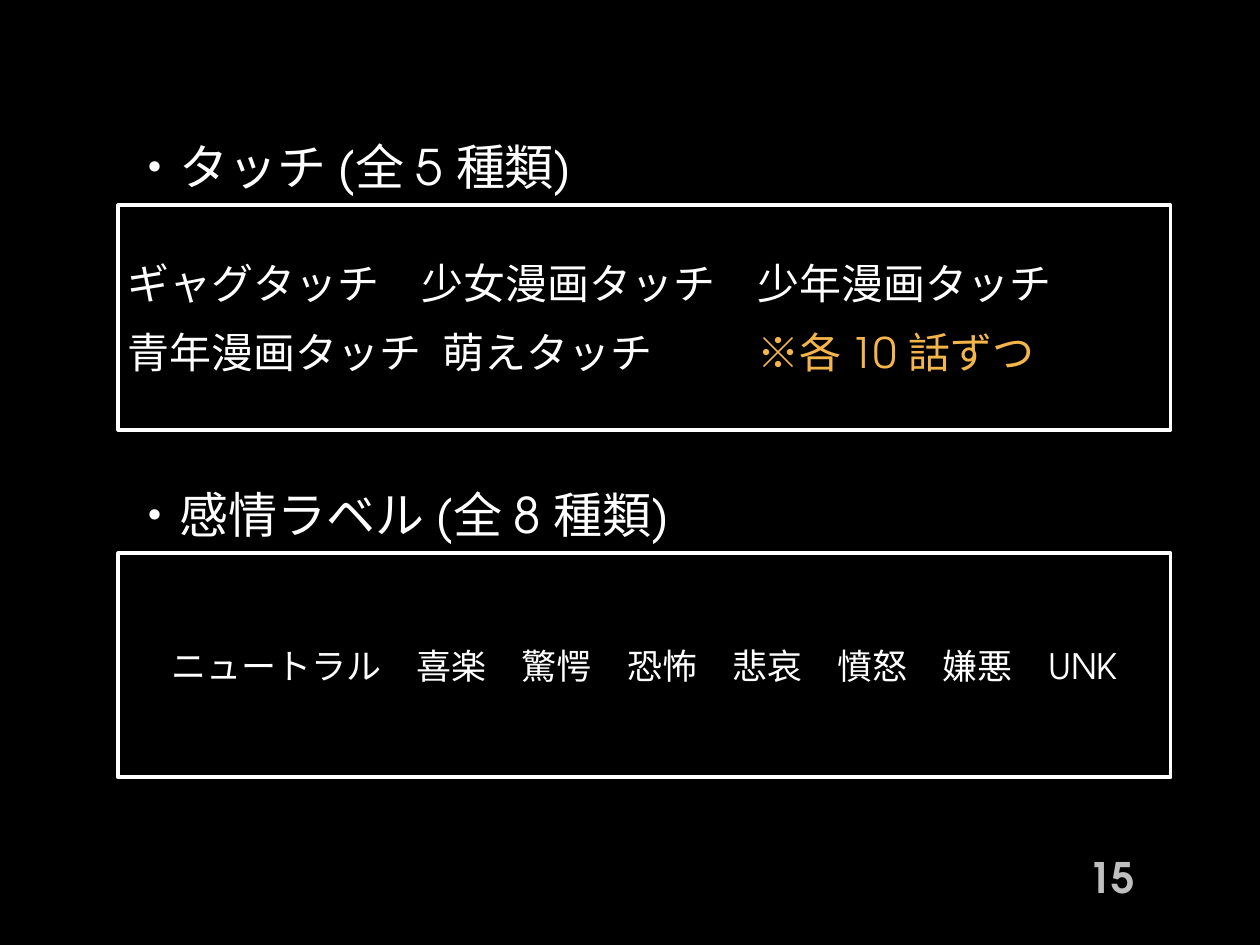
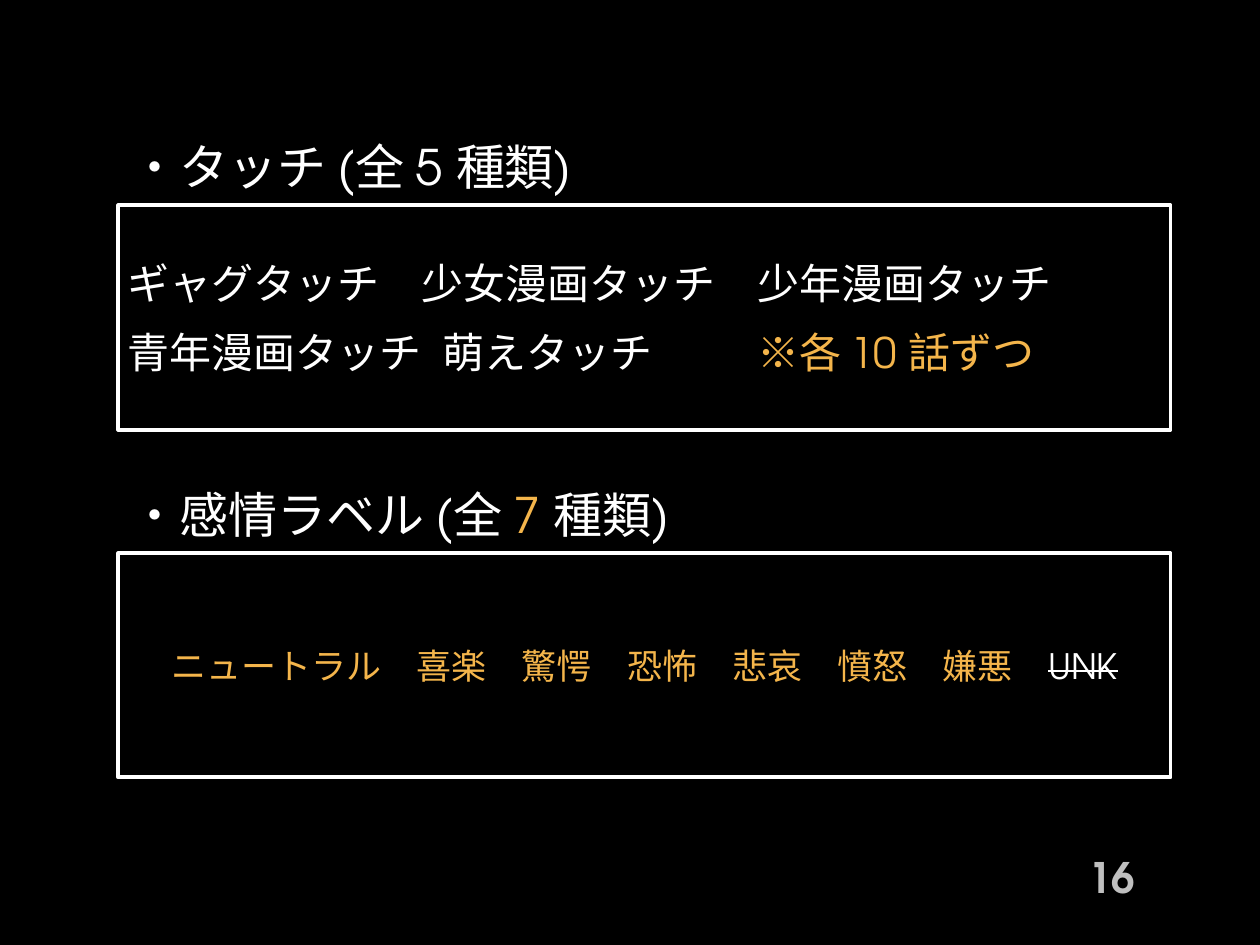
"""Build two slides listing manga touches and emotion labels."""
from dataclasses import dataclass

from lxml.etree import SubElement
from pptx import Presentation
from pptx.dml.color import RGBColor as Rgb
from pptx.enum.shapes import MSO_SHAPE as Shape
from pptx.enum.text import MSO_ANCHOR as Anchor, PP_ALIGN as Align
from pptx.oxml.ns import qn
from pptx.util import Inches, Pt


@dataclass(frozen=True)
class Theme:
    """Colours, font and type sizes shared by the slides."""
    background: Rgb = Rgb(0, 0, 0)
    white: Rgb = Rgb(255, 255, 255)
    accent: Rgb = Rgb(0xF4, 0xB5, 0x4B)
    number: Rgb = Rgb(0xBF, 0xBF, 0xBF)
    font: str = "TeX Gyre Adventor"
    heading_size: int = 28
    touch_size: int = 24
    label_size: int = 20
    number_size: int = 24


THEME = Theme()
LEFT = 0.94
HEADING_WIDTH, HEADING_HEIGHT = 8.12, 0.62
PANEL_WIDTH, PANEL_HEIGHT = 8.35, 1.78
TOUCH_TOP, EMOTION_TOP = 1.01, 3.77
TOUCH_TABS = (2.5, 5)
TOUCH_LINES = (
    [("ギャグタッチ　少女漫画タッチ　少年漫画タッチ", THEME.white)],
    [("青年漫画タッチ\t萌えタッチ\t", THEME.white), ("※各 10 話ずつ", THEME.accent)],
)
EMOTIONS = "ニュートラル　喜楽　驚愕　恐怖　悲哀　憤怒　嫌悪　"
EXCLUDED = "UNK"


def write_line(paragraph, pieces, size, align=Align.LEFT, bold=False):
    """Fill a paragraph with (text, colour) pieces and return its runs."""
    paragraph.alignment = align
    font = paragraph.font
    font.name, font.size, font.bold = THEME.font, Pt(size), bold
    for text, colour in pieces:
        run = paragraph.add_run()
        run.text = text
        run.font.color.rgb = colour
    return paragraph.runs


def add_tabs(paragraph, stops):
    """Give a paragraph left tab stops, in inches."""
    tab_list = SubElement(paragraph._p.get_or_add_pPr(), qn("a:tabLst"))
    for stop in stops:
        SubElement(tab_list, qn("a:tab"), pos=str(Inches(stop)), algn="l")


def add_label(slide, left, top, width, height):
    """Add a wrapping, vertically centred text box and return its paragraph."""
    box = slide.shapes.add_textbox(*map(Inches, (left, top, width, height)))
    frame = box.text_frame
    frame.word_wrap = True
    frame.vertical_anchor = Anchor.MIDDLE
    return frame.paragraphs[0]


def add_heading(slide, top, pieces):
    """Add a section heading above a panel."""
    heading = add_label(slide, LEFT, top, HEADING_WIDTH, HEADING_HEIGHT)
    write_line(heading, pieces, THEME.heading_size)


def add_panel(slide, heading_top):
    """Add the outlined panel below a heading and return its text frame."""
    panel = slide.shapes.add_shape(
        Shape.RECTANGLE, Inches(LEFT), Inches(heading_top + HEADING_HEIGHT),
        Inches(PANEL_WIDTH), Inches(PANEL_HEIGHT))
    panel.shadow.inherit = False
    panel.fill.background()
    panel.line.color.rgb = THEME.white
    panel.line.width = Pt(2.25)
    frame = panel.text_frame
    frame.word_wrap = True
    frame.vertical_anchor = Anchor.MIDDLE
    return frame


def add_touches(slide):
    """Add the heading and panel for the drawing touches."""
    add_heading(slide, TOUCH_TOP, [("・タッチ (全 5 種類)", THEME.white)])
    frame = add_panel(slide, TOUCH_TOP)
    frame.margin_left = frame.margin_right = Inches(0.07)
    frame.margin_top = frame.margin_bottom = Inches(0.04)
    first, second = frame.paragraphs[0], frame.add_paragraph()
    first.space_after = second.space_after = Pt(6)
    second.space_before = Pt(4.8)
    add_tabs(second, TOUCH_TABS)
    for paragraph, pieces in zip((first, second), TOUCH_LINES):
        write_line(paragraph, pieces, THEME.touch_size)


def add_emotions(slide, count, highlighted):
    """Add the emotion labels, optionally highlighting those kept."""
    colour = THEME.accent if highlighted else THEME.white
    add_heading(slide, EMOTION_TOP, [
        ("・感情ラベル (全 ", THEME.white), (f"{count} ", colour), ("種類)", THEME.white)])
    paragraph = add_panel(slide, EMOTION_TOP).paragraphs[0]
    paragraph.space_after = Pt(6)
    runs = write_line(paragraph, [(EMOTIONS, colour), (EXCLUDED, THEME.white)],
                      THEME.label_size, Align.CENTER)
    if highlighted:
        runs[-1].font._element.set("strike", "sngStrike")


def add_number(slide, number):
    """Add the slide number at the bottom right."""
    paragraph = add_label(slide, 7.81, 6.76, 1.3, 0.4)
    write_line(paragraph, [(str(number), THEME.number)], THEME.number_size,
               Align.RIGHT, bold=True)


def add_label_slide(deck, number, count, highlighted):
    """Add one slide with touches, emotion labels and number."""
    slide = deck.slides.add_slide(deck.slide_layouts[6])
    background = slide.background.fill
    background.solid()
    background.fore_color.rgb = THEME.background
    add_touches(slide)
    add_emotions(slide, count, highlighted)
    add_number(slide, number)


def main():
    """Build and save the deck."""
    deck = Presentation()
    deck.slide_width, deck.slide_height = Inches(10), Inches(7.5)
    add_label_slide(deck, 15, 8, highlighted=False)
    add_label_slide(deck, 16, 7, highlighted=True)
    deck.save("out.pptx")


if __name__ == "__main__":
    main()
